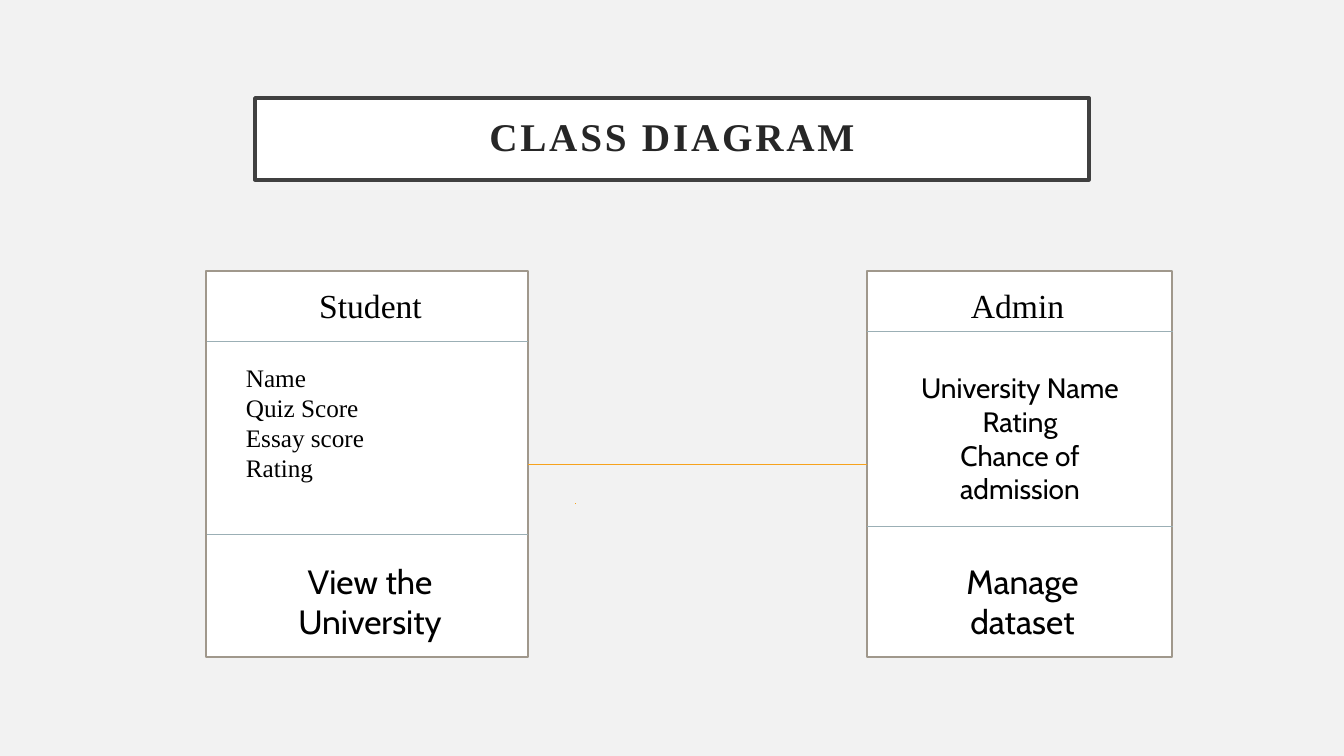
from dataclasses import dataclass

from lxml.etree import SubElement
from pptx import Presentation
from pptx.dml.color import RGBColor
from pptx.enum.shapes import MSO_CONNECTOR, MSO_SHAPE
from pptx.enum.text import MSO_ANCHOR, PP_ALIGN
from pptx.oxml.ns import qn
from pptx.slide import Slide
from pptx.util import Emu, Pt

SLIDE_W, SLIDE_H = 1344, 756
EMU_PER_PX = 12192000 / SLIDE_W
SERIF, SANS = "Times New Roman", "Cabin"
COLORS = {
    "background": "F2F2F2",
    "panel": "FFFFFF",
    "title_border": "404040",
    "title_text": "262626",
    "class_border": "A0988C",
    "divider": "9BAFB5",
    "association": "F6A21D",
    "text": "000000",
}


@dataclass
class Box:
    x: int
    y: int
    w: int
    h: int
    border: str
    line_pt: float


@dataclass
class Line:
    x1: int
    y1: int
    x2: int
    y2: int
    color: str


@dataclass
class Label:
    x: int
    y: int
    w: int
    h: int
    lines: list[str]
    size: int
    font: str
    align: PP_ALIGN = PP_ALIGN.CENTER


def px(n: int) -> Emu:
    return Emu(round(n * EMU_PER_PX))


def rgb(name: str) -> RGBColor:
    return RGBColor.from_string(COLORS[name])


def draw_box(s: Slide, box: Box):
    sp = s.shapes.add_shape(MSO_SHAPE.RECTANGLE, px(box.x), px(box.y), px(box.w), px(box.h))
    sp.shadow.inherit = False
    sp.fill.solid()
    sp.fill.fore_color.rgb = rgb("panel")
    sp.line.color.rgb = rgb(box.border)
    sp.line.width = Pt(box.line_pt)
    return sp


def draw_line(s: Slide, line: Line) -> None:
    c = s.shapes.add_connector(
        MSO_CONNECTOR.STRAIGHT, px(line.x1), px(line.y1), px(line.x2), px(line.y2))
    c.line.color.rgb = rgb(line.color)
    c.line.width = Pt(0.5)
    SubElement(c._element.spPr, qn("a:effectLst"))


def add_run(p, text: str, color: str, **formats):
    r = p.add_run()
    r.text = text
    r.font.color.rgb = rgb(color)
    for name, value in formats.items():
        setattr(r.font, name, value)
    return r


def draw_label(s: Slide, label: Label) -> None:
    tf = s.shapes.add_textbox(px(label.x), px(label.y), px(label.w), px(label.h)).text_frame
    tf.word_wrap = True
    for i, text in enumerate(label.lines):
        p = tf.add_paragraph() if i else tf.paragraphs[0]
        p.alignment = label.align
        add_run(p, text, "text", size=Pt(label.size), name=label.font)


def draw_title(s: Slide, text: str) -> None:
    tf = draw_box(s, Box(255, 98, 834, 82, "title_border", 2.5)).text_frame
    frame = {"word_wrap": True, "vertical_anchor": MSO_ANCHOR.MIDDLE}
    for side in ("left", "top", "right", "bottom"):
        frame[f"margin_{side}"] = px(20)
    for name, value in frame.items():
        setattr(tf, name, value)
    p = tf.paragraphs[0]
    p.alignment = PP_ALIGN.CENTER
    p.line_spacing = 0.9
    r = add_run(p, text, "title_text", size=Pt(28), name=SERIF, bold=True)
    r._r.get_or_add_rPr().set("spc", "200")


CLASS_BOXES = [
    Box(206, 271, 322, 386, "class_border", 1),
    Box(867, 271, 305, 386, "class_border", 1),
]
LINES = [
    # Student compartments
    Line(207, 341, 528, 341, "divider"),
    Line(207, 534, 528, 534, "divider"),
    # Admin compartments
    Line(867, 331, 1173, 331, "divider"),
    Line(867, 526, 1173, 526, "divider"),
    # Association and the small mark below it
    Line(575, 504, 575, 503, "association"),
    Line(528, 464, 867, 464, "association"),
]
LABELS = [
    # Student
    Label(246, 280, 249, 50, ["Student"], 24, SERIF),
    Label(236, 357, 259, 204, ["Name", "Quiz Score", "Essay score", "Rating"],
          18, SERIF, PP_ALIGN.LEFT),
    Label(277, 556, 186, 92, ["View the University"], 24, SANS),
    # Admin
    Label(961, 280, 137, 50, ["Admin"], 24, SERIF, PP_ALIGN.LEFT),
    Label(891, 366, 258, 112, ["University Name", "Rating", "Chance of admission"], 20, SANS),
    Label(916, 556, 213, 92, ["Manage dataset"], 24, SANS),
]


def main() -> None:
    prs = Presentation()
    prs.slide_width, prs.slide_height = px(SLIDE_W), px(SLIDE_H)
    s = prs.slides.add_slide(prs.slide_layouts[6])
    s.background.fill.solid()
    s.background.fill.fore_color.rgb = rgb("background")

    draw_title(s, "CLASS DIAGRAM")
    for box in CLASS_BOXES:
        draw_box(s, box)
    for line in LINES:
        draw_line(s, line)
    for label in LABELS:
        draw_label(s, label)
    prs.save("out.pptx")


if __name__ == "__main__":
    main()
